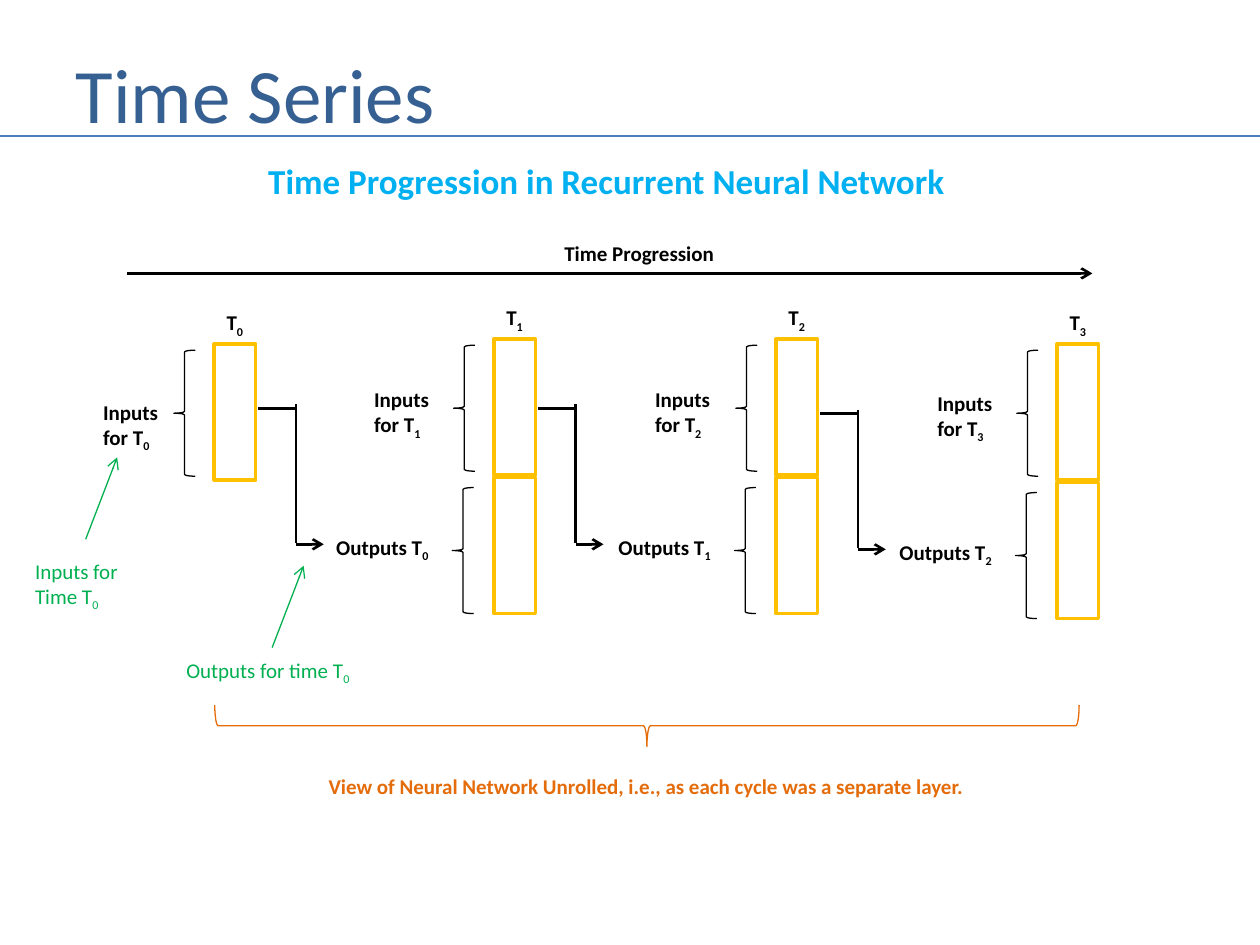
"""Build a slide that unrolls a recurrent neural network over time."""
from dataclasses import dataclass

from lxml import etree
from pptx import Presentation
from pptx.dml.color import RGBColor
from pptx.enum.shapes import MSO_CONNECTOR, MSO_SHAPE
from pptx.enum.text import MSO_ANCHOR, MSO_AUTO_SIZE, PP_ALIGN
from pptx.oxml.ns import qn
from pptx.util import Inches, Pt

STRAIGHT = MSO_CONNECTOR.STRAIGHT
RECTANGLE, LEFT_BRACE = MSO_SHAPE.RECTANGLE, MSO_SHAPE.LEFT_BRACE
MIDDLE, LEFT, GROW = MSO_ANCHOR.MIDDLE, PP_ALIGN.LEFT, MSO_AUTO_SIZE.SHAPE_TO_FIT_TEXT
FONT = "Calibri"
BLACK, YELLOW, GREEN, ORANGE = "000000", "FFC000", "00B050", "E46C0A"
CELL_WIDTH, CELL_HEIGHT = 0.33, 1.08


@dataclass(frozen=True)
class Layer:
    """One time step: its cell corner and the corner of its input label."""
    step: int
    left: float
    top: float
    label_left: float
    label_top: float


@dataclass(frozen=True)
class Label:
    """A text box; an underscore in a line starts a subscript."""
    text: str
    left: float
    top: float
    width: float
    height: float = 0.3
    color: str = BLACK
    bold: bool = True
    size: float = 12


@dataclass(frozen=True)
class Line:
    """A straight line, with an arrowhead at its end if wanted."""
    start: tuple[float, float]
    end: tuple[float, float]
    color: str = BLACK
    width: float = 1.5
    arrow: bool = False


LAYERS = [
    Layer(0, 1.7, 2.73, 0.72, 3.12),
    Layer(1, 3.92, 2.69, 2.87, 3.02),
    Layer(2, 6.16, 2.69, 5.1, 3.02),
    Layer(3, 8.39, 2.73, 7.34, 3.05),
]
LABELS = [
    Label("Time Progression in Recurrent Neural Network", 2.03, 1.22, 5.61, 0.44, "00B0F0", size=20),
    Label("Time Progression", 4.38, 1.86, 1.41),
    Label("Inputs for\nTime T_0", 0.18, 4.38, 0.86, 0.5, GREEN, False),
    Label("Outputs for time T_0", 1.38, 5.17, 1.55, 0.3, GREEN, False),
    Label("View of Neural Network Unrolled, i.e., as each cycle was a separate layer.",
          2.51, 6.09, 5.3, 0.3, ORANGE),
]
LINES = [
    Line((0, 1.08), (10, 1.08), "4B7EBC"),
    Line((1.01, 2.17), (8.67, 2.17), arrow=True),
    Line((0.68, 4.28), (0.93, 3.63), GREEN, 0.75, True),
    Line((2.16, 5.14), (2.41, 4.49), GREEN, 0.75, True),
]


def rgb(value: str) -> RGBColor:
    """Turn a hex string into a colour."""
    return RGBColor.from_string(value)


def format_span(span, size: float, color: str, bold: bool = False) -> None:
    """Set the font of one run."""
    span.font.name = FONT
    span.font.size = Pt(size)
    span.font.bold = bold
    span.font.color.rgb = rgb(color)


def add_title(page, text: str) -> None:
    """Place and format the title placeholder."""
    title = page.shapes.title
    title.left, title.top, title.width, title.height = map(Inches, (0.5, 0.3, 9.08, 0.87))
    title.text_frame.text = text
    title.text_frame.vertical_anchor = MIDDLE
    para = title.text_frame.paragraphs[0]
    para.alignment = LEFT
    format_span(para.runs[0], 44, "376092")


def add_label(page, label: Label) -> None:
    """Draw one text box with its subscripts."""
    box = page.shapes.add_textbox(*map(Inches, (label.left, label.top, label.width, label.height)))
    frame = box.text_frame
    frame.text = label.text.replace("_", "")
    frame.word_wrap = False
    frame.auto_size = GROW
    for para, line in zip(frame.paragraphs, label.text.split("\n")):
        base, _, subscript = line.partition("_")
        para.runs[0].text = base
        if subscript:
            span = para.add_run()
            span.text = subscript
            span._r.get_or_add_rPr().set("baseline", "-25000")
        for span in para.runs:
            format_span(span, label.size, label.color, label.bold)


def add_outline(page, kind, left: float, top: float, width: float, height: float,
                color: str, weight: float):
    """Draw an unfilled preset shape."""
    shape = page.shapes.add_shape(kind, *map(Inches, (left, top, width, height)))
    shape.shadow.inherit = False
    shape.fill.background()
    shape.line.color.rgb = rgb(color)
    shape.line.width = Pt(weight)
    return shape


def add_line(page, line: Line) -> None:
    """Draw one connector."""
    connector = page.shapes.add_connector(STRAIGHT, *map(Inches, line.start + line.end))
    connector.line.color.rgb = rgb(line.color)
    connector.line.width = Pt(line.width)
    if line.arrow:
        etree.SubElement(connector.line._get_or_add_ln(), qn("a:tailEnd"), type="arrow")
    etree.SubElement(connector._element.spPr, qn("a:effectLst"))


def add_layer(page, layer: Layer) -> None:
    """Draw the cells, braces and labels of one time step."""
    left, top, step = layer.left, layer.top, layer.step
    add_label(page, Label(f"T_{step}", left, top - 0.32, 0.34))
    add_label(page, Label(f"Inputs\nfor T_{step}", layer.label_left, layer.label_top, 0.65, 0.5))
    rows = [(0, 0.32, 0.05)]
    if step:
        rows.append((1.1, 0.33, 0.08))
        add_label(page, Label(f"Outputs T_{step - 1}", left - 1.35, top + 1.5, 1.02))
    for drop, brace_gap, brace_drop in rows:
        add_outline(page, RECTANGLE, left, top + drop, CELL_WIDTH, CELL_HEIGHT, YELLOW, 2)
        add_outline(page, LEFT_BRACE, left - brace_gap, top + drop + brace_drop, 0.17, 1, BLACK, 0.75)


def add_feedback(page, source: Layer, target: Layer) -> None:
    """Lead the output of one layer to the next."""
    elbow, top = source.left + 0.65, target.top
    add_line(page, Line((source.left + 0.35, top + 0.55), (elbow, top + 0.55)))
    add_line(page, Line((elbow, top + 1.62), (elbow, top + 0.52)))
    add_line(page, Line((elbow, top + 1.63), (elbow + 0.22, top + 1.63), arrow=True))


def main() -> None:
    """Build and save the deck."""
    deck = Presentation()
    deck.slide_width, deck.slide_height = Inches(10), Inches(7.5)
    page = deck.slides.add_slide(deck.slide_layouts[5])
    add_title(page, "Time Series")
    for line in LINES:
        add_line(page, line)
    for layer in LAYERS:
        add_layer(page, layer)
    for source, target in zip(LAYERS, LAYERS[1:]):
        add_feedback(page, source, target)
    brace = add_outline(page, LEFT_BRACE, 4.97, 2.33, 0.33, 6.86, ORANGE, 0.75)
    brace.rotation = 270
    for label in LABELS:
        add_label(page, label)
    deck.save("out.pptx")


main()
